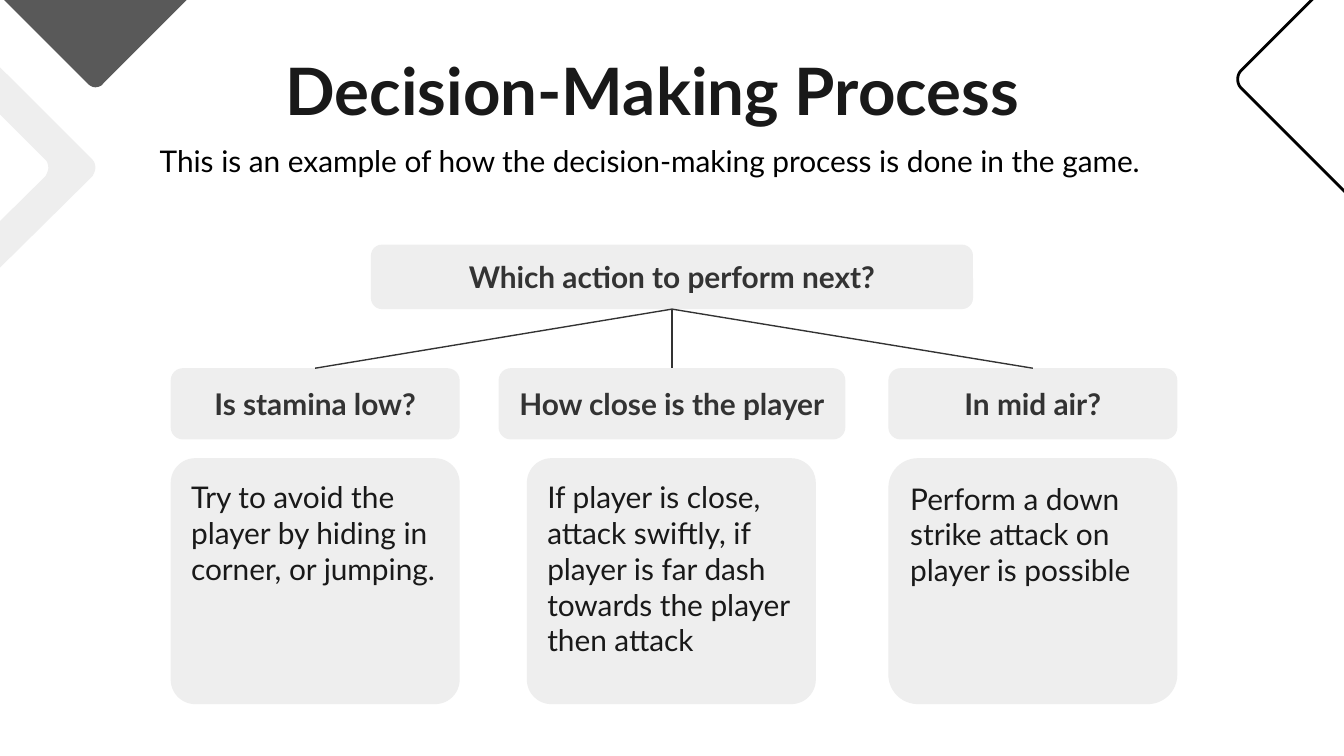
from lxml import etree
from pptx import Presentation
from pptx.dml.color import RGBColor
from pptx.enum import shapes, text
from pptx.oxml.ns import qn
from pptx.util import Inches, Pt

FONT = "Lato"
INK = RGBColor(0x19, 0x19, 0x19)
HEADING = RGBColor(0x33, 0x33, 0x33)
BLACK = RGBColor(0, 0, 0)
PANEL = RGBColor(0xEE, 0xEE, 0xEE)
CHARCOAL = RGBColor(0x59, 0x59, 0x59)
TOP, BOTTOM = 0, 2  # connection sites of a rounded rectangle

# Outlines: a pair is a corner, a triple of pairs is a Bezier curve
DARK_DIAMOND = [
    (1.81, -0.45), ((1.81, -0.43), (1.8, -0.41), (1.78, -0.39)),
    (0.77, 0.62), ((0.76, 0.64), (0.73, 0.65), (0.71, 0.65)),
    ((0.69, 0.65), (0.67, 0.64), (0.65, 0.62)),
    (-0.36, -0.39), ((-0.38, -0.41), (-0.39, -0.43), (-0.39, -0.45)),
]
PALE_CHEVRON = [
    (0.71, 1.25), ((0.71, 1.27), (0.7, 1.29), (0.69, 1.31)),
    (-0.21, 2.2), ((-0.24, 2.24), (-0.3, 2.24), (-0.33, 2.2)),
    (-0.45, 2.09), (0.34, 1.31),
    ((0.35, 1.29), (0.36, 1.27), (0.36, 1.25)),
    ((0.36, 1.22), (0.35, 1.2), (0.34, 1.19)),
    (-0.45, 0.4), (-0.33, 0.29),
    ((-0.3, 0.26), (-0.24, 0.26), (-0.21, 0.29)),
    (0.69, 1.19), ((0.7, 1.2), (0.71, 1.22), (0.71, 1.25)),
]
OUTLINED_DIAMOND = [
    (10.47, -0.67), ((10.45, -0.67), (10.42, -0.66), (10.4, -0.64)),
    (9.24, 0.52), ((9.22, 0.54), (9.21, 0.56), (9.21, 0.59)),
    ((9.21, 0.62), (9.22, 0.64), (9.24, 0.66)),
    (10.4, 1.82), ((10.42, 1.84), (10.45, 1.85), (10.47, 1.85)),
]

# Question, its left and width; answer, its left and corner size
BRANCHES = [
    ("Is stamina low?", 1.27, 2.15,
     "Try to avoid the player by hiding in corner, or jumping.", 1.27, 0.1),
    ("How close is the player", 3.71, 2.58,
     "If player is close, attack swiftly, if player is far dash "
     "towards the player then attack", 3.92, 0.1),
    ("In mid air?", 6.61, 2.15,
     "Perform a down strike attack on player is possible", 6.61, 0.12),
]


def write(shape, words, size=16, color=INK, bold=False,
          align=text.PP_ALIGN.LEFT, anchor=text.MSO_ANCHOR.TOP, inset_y=0.1):
    frame = shape.text_frame
    frame.word_wrap = True
    frame.auto_size = text.MSO_AUTO_SIZE.NONE
    frame.vertical_anchor = anchor
    frame.margin_left = frame.margin_right = Inches(0.1)
    frame.margin_top = frame.margin_bottom = Inches(inset_y)
    paragraph = frame.paragraphs[0]
    paragraph.alignment = align
    run = paragraph.add_run()
    run.text = words
    run.font.name = FONT
    run.font.size = Pt(size)
    run.font.bold = bold
    run.font.color.rgb = color


def flatten(outline, steps=6):
    """Turn corners and Bezier curves into a list of points."""
    points = []
    for part in outline:
        if len(part) == 2:
            points.append(part)
            continue
        start = points[-1]
        for step in range(1, steps + 1):
            t = step / steps
            weights = ((1 - t) ** 3, 3 * t * (1 - t) ** 2,
                       3 * t ** 2 * (1 - t), t ** 3)
            points.append(tuple(
                sum(w * p[axis] for w, p in zip(weights, (start, *part)))
                for axis in (0, 1)))
    return [(Inches(x), Inches(y)) for x, y in points]


def add_ornament(slide, outline, fill=None, line=None):
    first, *rest = flatten(outline)
    builder = slide.shapes.build_freeform(*first)
    builder.add_line_segments(rest, close=True)
    ornament = builder.convert_to_shape()
    ornament.shadow.inherit = False
    if fill is None:
        ornament.fill.background()
    else:
        ornament.fill.solid()
        ornament.fill.fore_color.rgb = fill
    if line is None:
        ornament.line.fill.background()
    else:
        ornament.line.color.rgb = line
        ornament.line.width = Pt(1.5)


def add_panel(slide, left, top, width, height, corner, words, **style):
    panel = slide.shapes.add_shape(
        shapes.MSO_SHAPE.ROUNDED_RECTANGLE,
        Inches(left), Inches(top), Inches(width), Inches(height))
    panel.adjustments[0] = corner
    panel.shadow.inherit = False
    panel.fill.solid()
    panel.fill.fore_color.rgb = PANEL
    panel.line.fill.background()
    write(panel, words, **style)
    return panel


def add_question(slide, left, top, width, height, words):
    return add_panel(slide, left, top, width, height, 0.17, words,
                     color=HEADING, bold=True, align=text.PP_ALIGN.CENTER,
                     anchor=text.MSO_ANCHOR.MIDDLE)


def link(slide, parent, child):
    branch = slide.shapes.add_connector(
        shapes.MSO_CONNECTOR.STRAIGHT, 0, 0, 0, 0)
    branch.begin_connect(parent, BOTTOM)
    branch.end_connect(child, TOP)
    branch.line.color.rgb = HEADING
    branch.line.width = Pt(0.75)
    etree.SubElement(branch._element.spPr, qn("a:effectLst"))


def main():
    deck = Presentation()
    deck.slide_width = Inches(10)
    deck.slide_height = Inches(10) * 9 // 16
    slide = deck.slides.add_slide(deck.slide_layouts[5])

    # Corner ornaments
    add_ornament(slide, DARK_DIAMOND, fill=CHARCOAL)
    add_ornament(slide, PALE_CHEVRON, fill=PANEL)
    add_ornament(slide, OUTLINED_DIAMOND, line=BLACK)

    # Title and introduction
    title = slide.shapes.title
    title.left, title.top = Inches(0.64), Inches(0.27)
    title.width, title.height = Inches(8.43), Inches(0.63)
    write(title, "Decision-Making Process", size=35, bold=True,
          align=text.PP_ALIGN.CENTER)
    intro = slide.shapes.add_textbox(
        Inches(1.09), Inches(1.01), Inches(7.82), Inches(0.37))
    write(intro, "This is an example of how the decision-making process "
          "is done in the game.", color=BLACK, inset_y=0.05)

    # Decision tree
    root = add_question(slide, 2.76, 1.82, 4.48, 0.48,
                        "Which action to perform next?")
    for question, left, width, answer, answer_left, corner in BRANCHES:
        check = add_question(slide, left, 2.74, width, 0.53, question)
        add_panel(slide, answer_left, 3.41, 2.15, 1.83, corner, answer)
        link(slide, root, check)

    deck.save("out.pptx")


if __name__ == "__main__":
    main()
